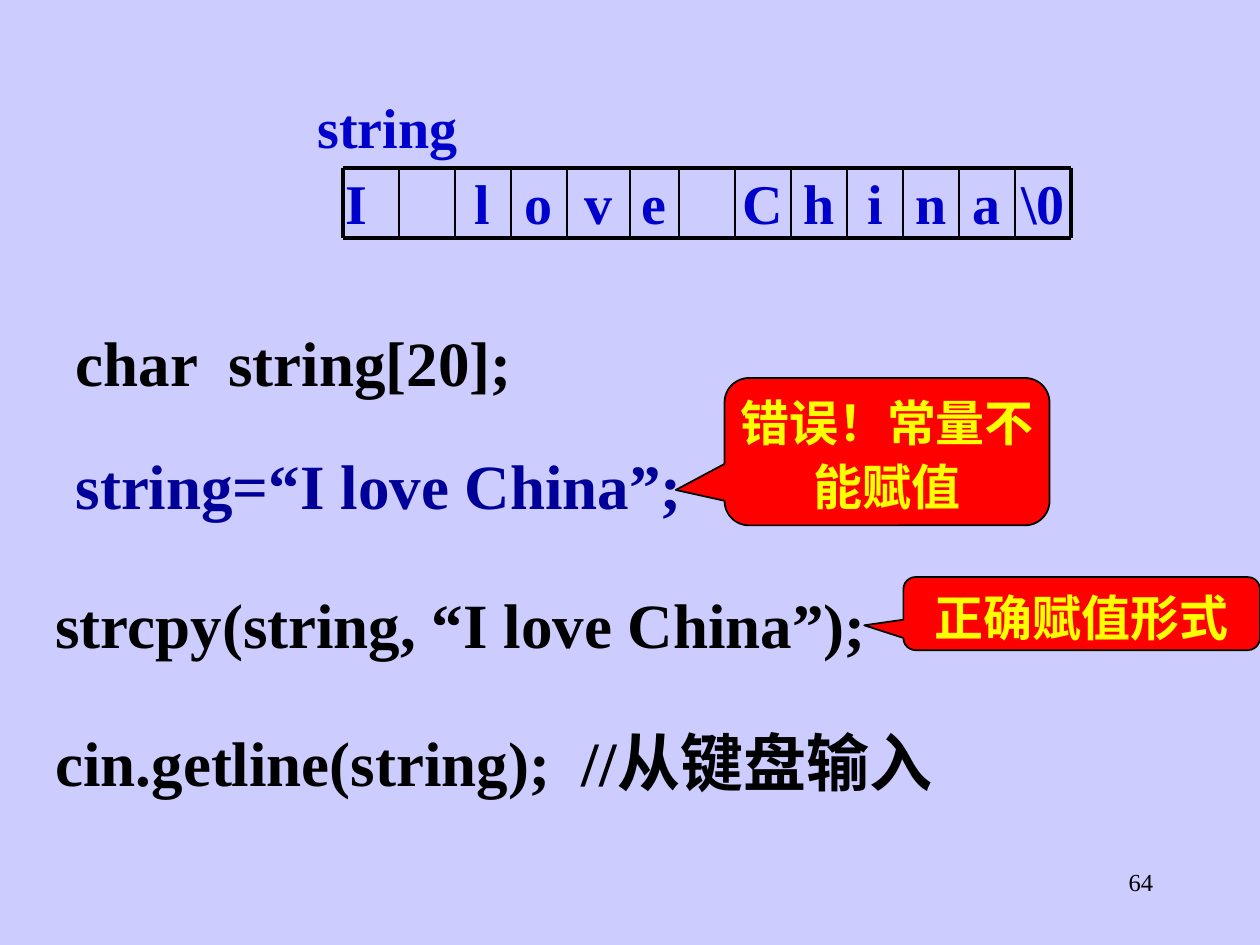
from dataclasses import dataclass

import lxml.etree
import pptx
import pptx.dml.color
import pptx.enum.shapes
import pptx.enum.text
import pptx.oxml.ns
import pptx.util

Inches = pptx.util.Inches
Pt = pptx.util.Pt
Align = pptx.enum.text.PP_ALIGN
Anchor = pptx.enum.text.MSO_ANCHOR


@dataclass(frozen=True)
class Theme:
    font: str = "Times New Roman"
    background: str = "CCCCFF"
    ink: str = "000000"
    wrong_code: str = "000099"
    memory: str = "0000CC"
    callout_fill: str = "FF0000"
    callout_text: str = "FFFF00"
    code_size: float = 36
    memory_size: float = 32
    callout_size: float = 28
    number_size: float = 14
    frame_width: float = 2.25
    divider_width: float = 1


@dataclass(frozen=True)
class Box:
    left: float
    top: float
    width: float
    height: float

    def lengths(self) -> list:
        return [Inches(v) for v in (self.left, self.top, self.width, self.height)]


@dataclass(frozen=True)
class CodeBlock:
    box: Box
    lines: tuple


@dataclass(frozen=True)
class Callout:
    box: Box
    text: str
    tip: tuple


THEME = Theme()
CODE_BLOCKS = (
    CodeBlock(Box(0.58, 2.5, 5.08, 1.66), (
        ("char  string[20];", THEME.ink),
        ("string=“I love China”;", THEME.wrong_code),
    )),
    CodeBlock(Box(0.42, 4.58, 6.5, 0.68),
              (("strcpy(string, “I love China”);", THEME.ink),)),
    CodeBlock(Box(0.42, 5.67, 9.08, 0.68),
              (("cin.getline(string);  //从键盘输入", THEME.ink),)),
)
CALLOUTS = (
    Callout(Box(5.75, 3, 2.58, 1.17), "错误！常量不能赋值", (-0.65, 0.26)),
    Callout(Box(7.17, 4.58, 2.83, 0.58), "正确赋值形式", (-0.61, 0.16)),
)
CHARACTERS = [*"I love China", "\\0"]
ROW = Box(2.72, 1.33, 5.78, 0.56)
WIDE_CELLS = {4: 0.5, 5: 0.39}


def rgb(value: str) -> pptx.dml.color.RGBColor:
    return pptx.dml.color.RGBColor.from_string(value)


def write(frame, lines, *, size: float, align=Align.LEFT, anchor=Anchor.TOP,
          spacing: float = 1.0, gap: float = 0, margins=(0.02, 0.01)) -> None:
    frame.word_wrap = True
    frame.vertical_anchor = anchor
    frame.margin_left = frame.margin_right = Inches(margins[0])
    frame.margin_top = frame.margin_bottom = Inches(margins[1])
    for index, (text, color, bold) in enumerate(lines):
        paragraph = frame.paragraphs[0] if index == 0 else frame.add_paragraph()
        paragraph.alignment = align
        paragraph.line_spacing = spacing
        if index:
            paragraph.space_before = Pt(gap)
        run = paragraph.add_run()
        run.text = text
        run.font.name = THEME.font
        run.font.size = Pt(size)
        run.font.bold = bold
        run.font.color.rgb = rgb(color)


def add_text(slide, box: Box, lines, **style) -> None:
    write(slide.shapes.add_textbox(*box.lengths()).text_frame, lines, **style)


def add_line(slide, start: tuple, end: tuple, width: float) -> None:
    line = slide.shapes.add_connector(
        pptx.enum.shapes.MSO_CONNECTOR.STRAIGHT,
        *(Inches(v) for v in (*start, *end)))
    line.line.color.rgb = rgb(THEME.ink)
    line.line.width = Pt(width)
    lxml.etree.SubElement(line._element.spPr, pptx.oxml.ns.qn("a:effectLst"))


def add_memory_row(slide) -> None:
    regular = (ROW.width - sum(WIDE_CELLS.values())) / (len(CHARACTERS) - len(WIDE_CELLS))
    bottom, right = ROW.top + ROW.height, ROW.left + ROW.width
    edges = [ROW.left]
    for index, character in enumerate(CHARACTERS):
        width = WIDE_CELLS.get(index, regular)
        if character != " ":
            add_text(slide, Box(edges[-1], ROW.top, width, ROW.height),
                     [(character, THEME.memory, True)], size=THEME.memory_size,
                     align=Align.CENTER if index else Align.LEFT)
        edges.append(edges[-1] + width)
    for y in (ROW.top, bottom):
        add_line(slide, (ROW.left, y), (right, y), THEME.frame_width)
    for index, x in enumerate(edges):
        outer = index in (0, len(CHARACTERS))
        add_line(slide, (x, ROW.top), (x, bottom),
                 THEME.frame_width if outer else THEME.divider_width)


def add_callout(slide, callout: Callout) -> None:
    shape = slide.shapes.add_shape(
        pptx.enum.shapes.MSO_SHAPE.ROUNDED_RECTANGULAR_CALLOUT, *callout.box.lengths())
    shape.shadow.inherit = False
    shape.adjustments[0], shape.adjustments[1] = callout.tip
    shape.fill.solid()
    shape.fill.fore_color.rgb = rgb(THEME.callout_fill)
    shape.line.color.rgb = rgb(THEME.ink)
    shape.line.width = Pt(THEME.divider_width)
    write(shape.text_frame, [(callout.text, THEME.callout_text, True)],
          size=THEME.callout_size, align=Align.CENTER, spacing=1.1)


def main() -> None:
    deck = pptx.Presentation()
    deck.slide_width, deck.slide_height = Inches(10), Inches(7.5)
    slide = deck.slides.add_slide(deck.slide_layouts[6])
    slide.background.fill.solid()
    slide.background.fill.fore_color.rgb = rgb(THEME.background)

    add_text(slide, Box(7.17, 6.83, 2.08, 0.5), [("64", THEME.ink, False)],
             size=THEME.number_size, align=Align.RIGHT, margins=(0.1, 0.05))
    for block in CODE_BLOCKS:
        add_text(slide, block.box, [(text, color, True) for text, color in block.lines],
                 size=THEME.code_size, spacing=1.1, gap=22.5)
    add_memory_row(slide)
    add_text(slide, Box(2.5, 0.67, 1.58, 0.61), [("string", THEME.memory, True)],
             size=THEME.memory_size, spacing=1.1)
    for callout in CALLOUTS:
        add_callout(slide, callout)
    deck.save("out.pptx")


if __name__ == "__main__":
    main()
